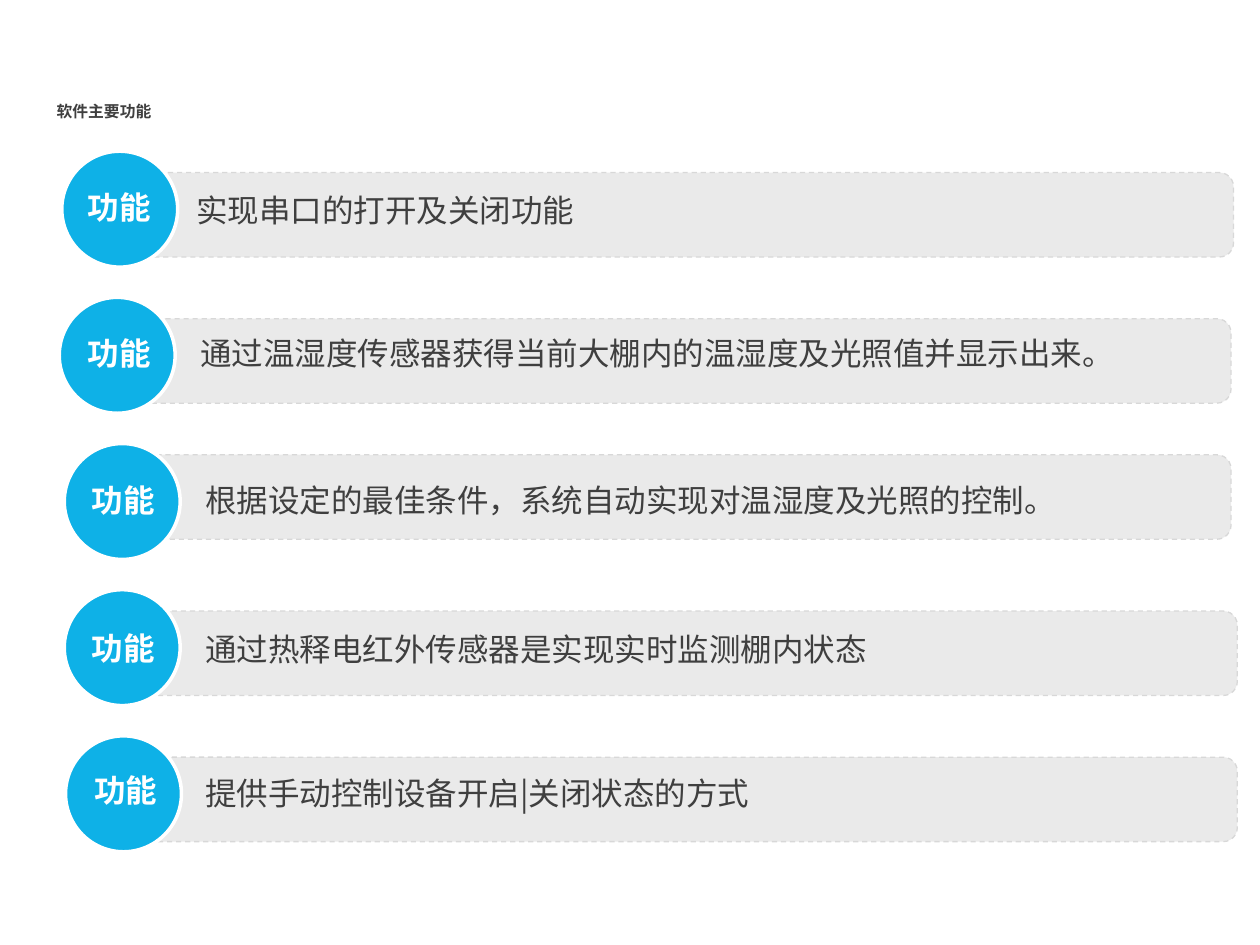
import dataclasses

import lxml.etree
import pptx
import pptx.dml.color
import pptx.enum.dml
import pptx.enum.shapes
import pptx.enum.text
import pptx.oxml.ns
import pptx.util

Inches = pptx.util.Inches
Pt = pptx.util.Pt
MSO_SHAPE = pptx.enum.shapes.MSO_SHAPE
qn = pptx.oxml.ns.qn

FONT = "Noto Sans CJK SC"
BLUE, DARK, WHITE = "0EB1E7", "3F3F3F", "FFFFFF"
GREY, BORDER = "BCBCBC", "D8D8D8"
BAR_W, BAR_H = 8.68, 0.67
CIRCLE = 0.92
LABEL_W, LABEL_H = 0.7, 0.4
FIRST_CIRCLE_Y, CIRCLE_STEP = 1.2, 1.16


@dataclasses.dataclass
class Feature:
    text: str
    bar: tuple[float, float]  # left, top
    text_box: tuple[float, float, float, float]  # left, top, width, height
    circle_x: float
    label: tuple[float, float]  # left, top


FEATURES = [
    Feature("实现串口的打开及关闭功能",
            (1.11, 1.37), (1.46, 1.47, 8.32, 0.61), 0.49, (0.6, 1.44)),
    Feature("通过温湿度传感器获得当前大棚内的温湿度及光照值并显示出来。",
            (1.09, 2.53), (1.49, 2.6, 8.08, 0.68), 0.47, (0.6, 2.6)),
    Feature("根据设定的最佳条件，系统自动实现对温湿度及光照的控制。",
            (1.09, 3.61), (1.53, 3.77, 8.03, 0.55), 0.51, (0.63, 3.77)),
    Feature("通过热释电红外传感器是实现实时监测棚内状态",
            (1.14, 4.85), (1.53, 4.95, 6.85, 0.89), 0.51, (0.63, 4.94)),
    Feature("提供手动控制设备开启|关闭状态的方式",
            (1.14, 6.01), (1.53, 6.09, 8.24, 1.47), 0.52, (0.65, 6.07)),
]


def rgb(color: str) -> pptx.dml.color.RGBColor:
    return pptx.dml.color.RGBColor.from_string(color)


def write(sp, text: str, size: float, color: str, bold: bool = False):
    """Set one left-aligned paragraph, with the font for Chinese text too."""
    p = sp.text_frame.paragraphs[0]
    p.text = text
    p.alignment = pptx.enum.text.PP_ALIGN.LEFT
    r = p.runs[0]
    r.font.name = FONT
    r.font.size = Pt(size)
    r.font.bold = bold
    r.font.color.rgb = rgb(color)
    ea = lxml.etree.SubElement(r.font._element, qn("a:ea"))
    ea.set("typeface", FONT)
    return p


def add_title(slide, text: str) -> None:
    sp = slide.shapes.title
    sp.left, sp.top = Inches(0.35), Inches(0.36)
    sp.width, sp.height = Inches(3.46), Inches(0.39)
    tf = sp.text_frame
    tf.auto_size = pptx.enum.text.MSO_AUTO_SIZE.NONE
    tf.vertical_anchor = pptx.enum.text.MSO_ANCHOR.MIDDLE
    p = write(sp, text, 9, DARK, bold=True)
    p.line_spacing = Pt(57.6)


def add_shape(slide, kind, x: float, y: float, w: float, h: float,
              fill: str, line: str, line_width: float):
    sp = slide.shapes.add_shape(kind, Inches(x), Inches(y), Inches(w), Inches(h))
    sp.shadow.inherit = False
    sp.fill.solid()
    sp.fill.fore_color.rgb = rgb(fill)
    sp.line.color.rgb = rgb(line)
    sp.line.width = Pt(line_width)
    return sp


def add_bar(slide, x: float, y: float) -> None:
    """Add a dashed rounded bar with a 30 % opaque fill."""
    sp = add_shape(slide, MSO_SHAPE.ROUNDED_RECTANGLE, x, y, BAR_W, BAR_H,
                   GREY, BORDER, 0.75)
    sp.line.dash_style = pptx.enum.dml.MSO_LINE.DASH
    color = sp._element.spPr.find(qn("a:solidFill")).find(qn("a:srgbClr"))
    lxml.etree.SubElement(color, qn("a:alpha")).set("val", "30000")


def add_text(slide, x: float, y: float, w: float, h: float, text: str,
             color: str, bold: bool = False, wrap: bool = True):
    sp = slide.shapes.add_textbox(Inches(x), Inches(y), Inches(w), Inches(h))
    sp.text_frame.word_wrap = wrap
    return write(sp, text, 18, color, bold)


def main() -> None:
    prs = pptx.Presentation()
    prs.slide_width, prs.slide_height = Inches(10), Inches(7.5)
    slide = prs.slides.add_slide(prs.slide_layouts[5])
    add_title(slide, "软件主要功能")
    for feature in FEATURES:
        add_bar(slide, *feature.bar)
    for feature in FEATURES:
        p = add_text(slide, *feature.text_box, feature.text, DARK)
        p.space_before = Pt(4.5)
    for i, feature in enumerate(FEATURES):
        add_shape(slide, MSO_SHAPE.OVAL, feature.circle_x,
                  FIRST_CIRCLE_Y + i * CIRCLE_STEP, CIRCLE, CIRCLE,
                  BLUE, WHITE, 2)
        add_text(slide, *feature.label, LABEL_W, LABEL_H, "功能", WHITE,
                 bold=True, wrap=False)
    prs.save("out.pptx")


if __name__ == "__main__":
    main()
